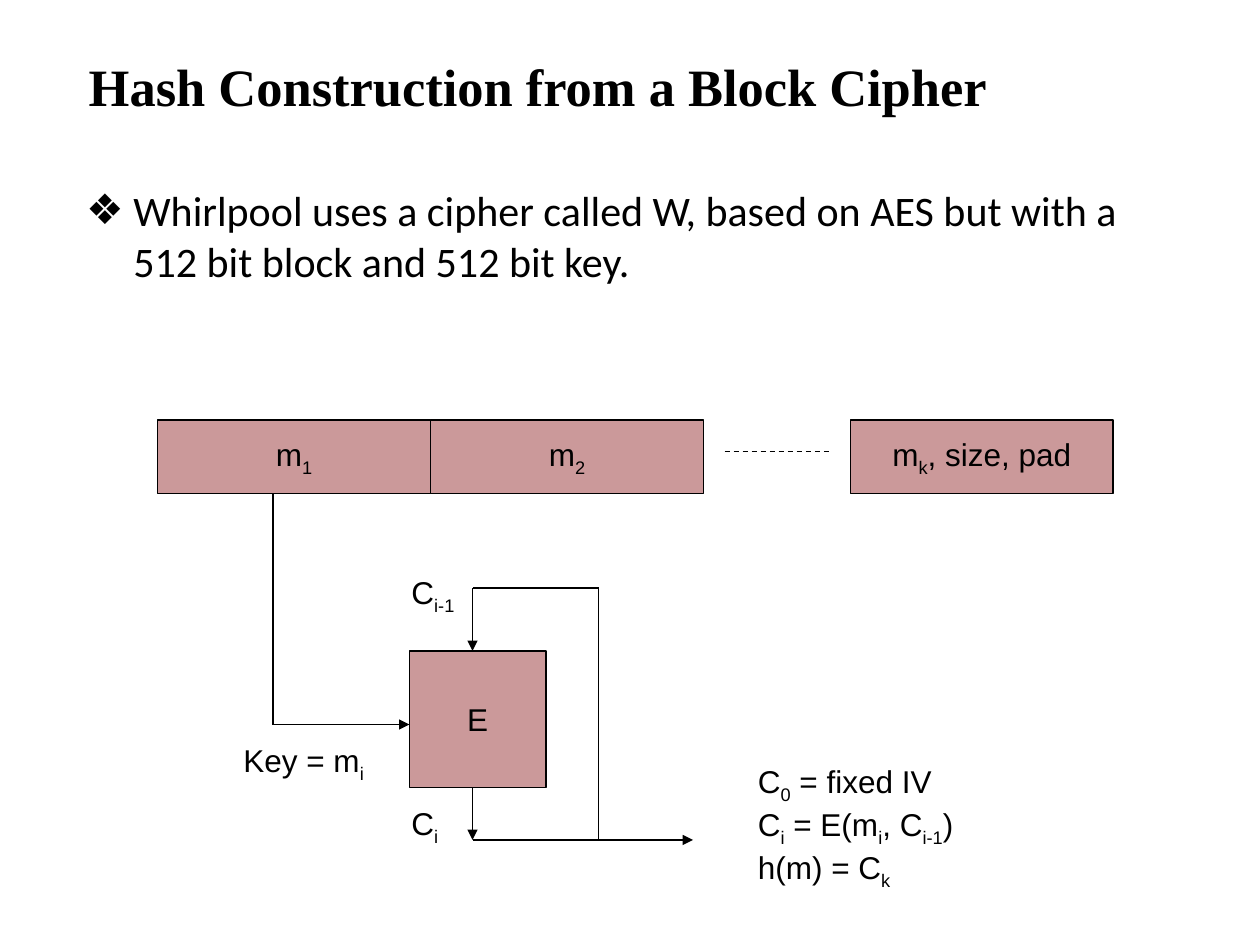
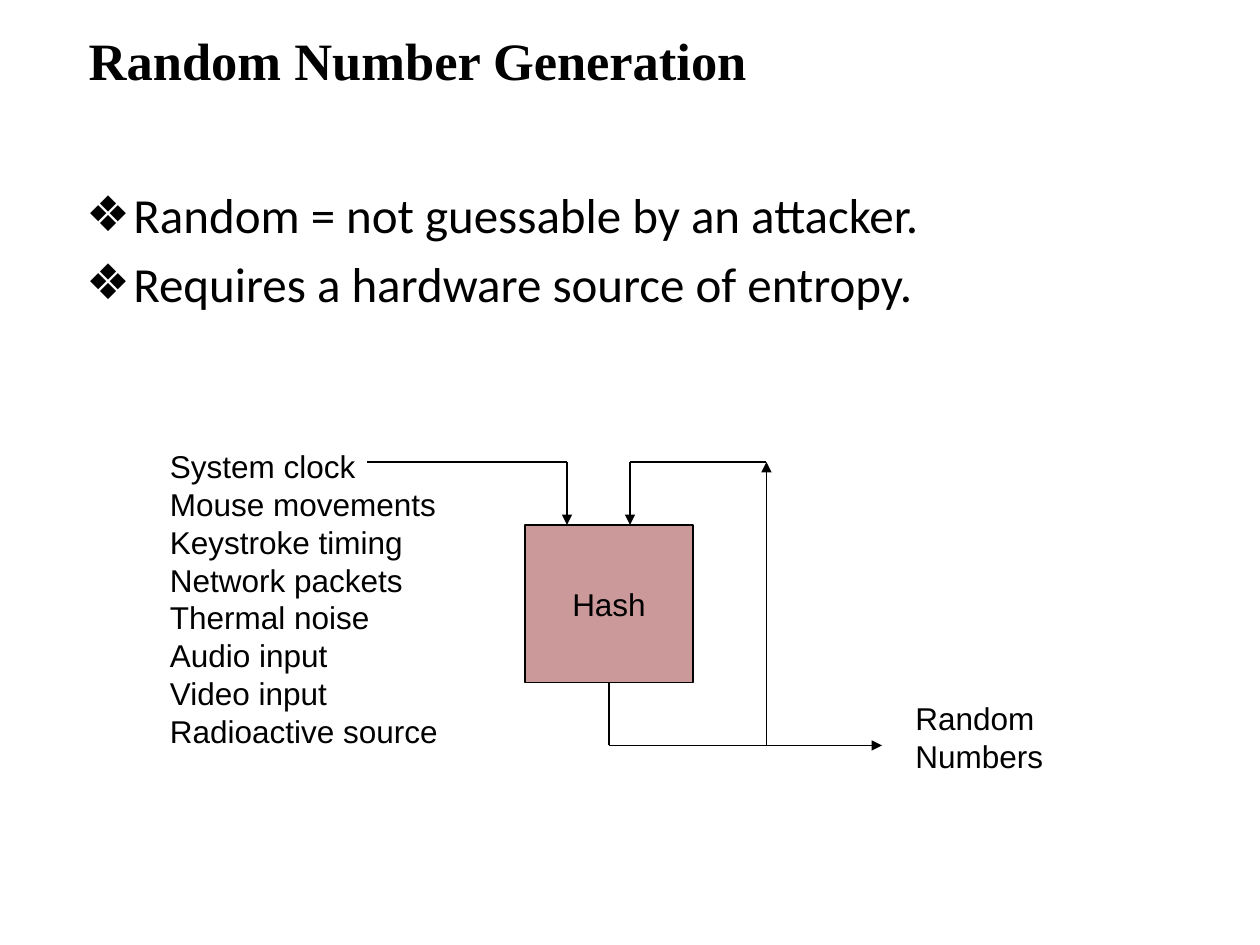
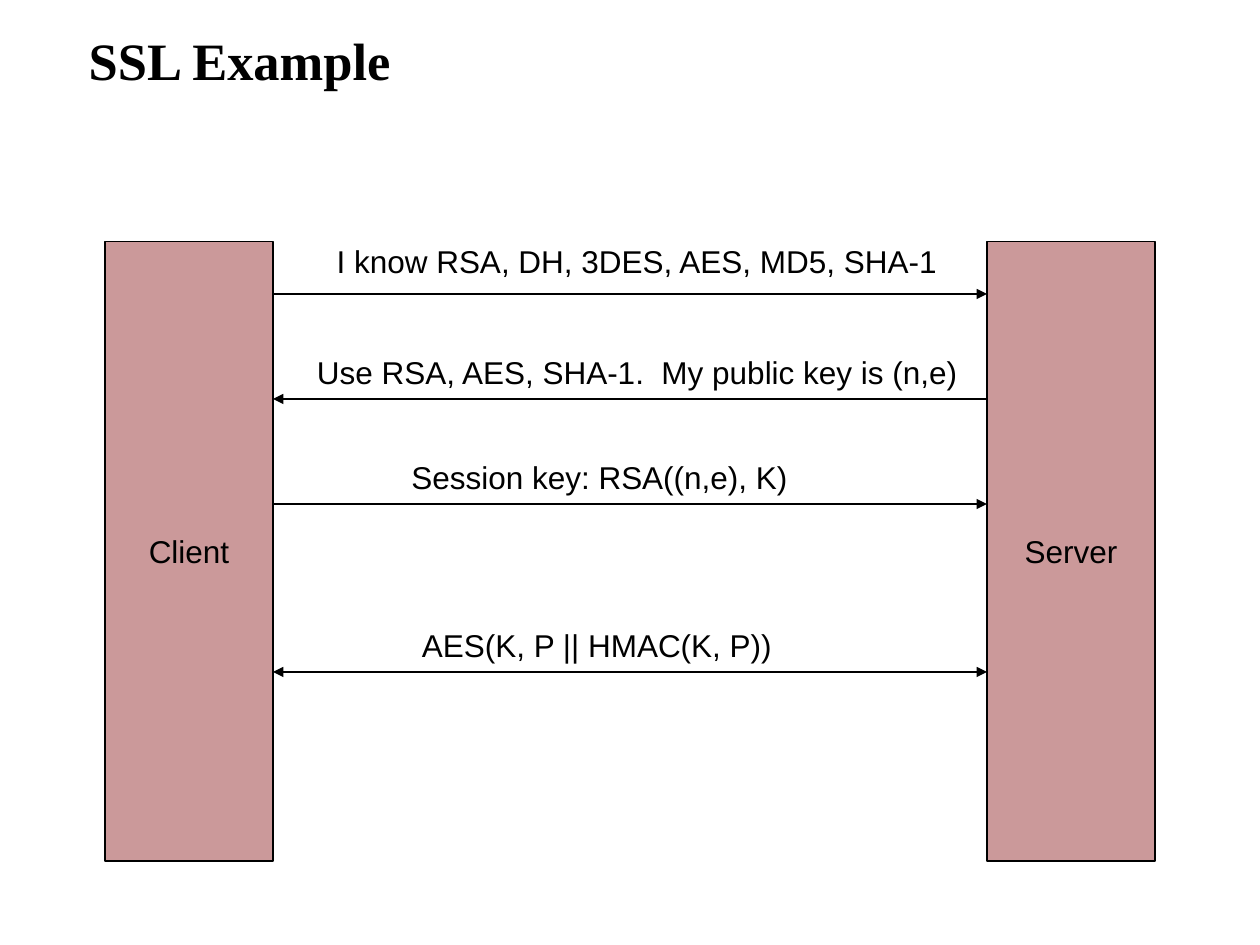
from dataclasses import dataclass
from itertools import pairwise

from lxml import etree
from pptx import Presentation
from pptx.dml.color import RGBColor
from pptx.enum.dml import MSO_LINE
from pptx.enum.shapes import MSO_CONNECTOR, MSO_SHAPE
from pptx.enum.text import MSO_ANCHOR, MSO_AUTO_SIZE, PP_ALIGN
from pptx.oxml.ns import qn
from pptx.util import Pt

RECTANGLE = MSO_SHAPE.RECTANGLE
STRAIGHT = MSO_CONNECTOR.STRAIGHT
DASH = MSO_LINE.DASH
TOP, MIDDLE = MSO_ANCHOR.TOP, MSO_ANCHOR.MIDDLE
LEFT, CENTER = PP_ALIGN.LEFT, PP_ALIGN.CENTER
FIXED, GROW = MSO_AUTO_SIZE.NONE, MSO_AUTO_SIZE.SHAPE_TO_FIT_TEXT
TITLE_AND_BODY, TITLE_ONLY = 1, 5
PX = 9525


@dataclass(frozen=True)
class Theme:
    ink: RGBColor = RGBColor(0x00, 0x00, 0x00)
    block: RGBColor = RGBColor(0xCB, 0x99, 0x9A)
    paper: RGBColor = RGBColor(0xFF, 0xFF, 0xFF)
    title_font: str = "Times New Roman"
    body_font: str = "Calibri"
    label_font: str = "Arial"
    title_size: int = 30
    label_size: int = 18
    line_width: float = 0.75
    bullet: str = "❖"
    indent: int = 36


theme = Theme()


def write(box, text, *, font=theme.label_font, size=theme.label_size, bold=False,
          align=LEFT, anchor=TOP, wrap=False, fit=FIXED, bullet=None):
    """Lines are split at newlines; text between tildes is set as subscript."""
    frame = box.text_frame
    frame.word_wrap = wrap
    frame.auto_size = fit
    frame.vertical_anchor = anchor
    for number, line in enumerate(text.split("\n")):
        para = frame.add_paragraph() if number else frame.paragraphs[0]
        para.alignment = align
        if bullet:
            properties = para._p.get_or_add_pPr()
            properties.set("marL", str(theme.indent * PX))
            properties.set("indent", str(-theme.indent * PX))
            etree.SubElement(properties, qn("a:buChar")).set("char", bullet)
        for position, piece in enumerate(line.split("~")):
            if not piece:
                continue
            span = para.add_run()
            span.text = piece
            span.font.name = font
            span.font.size = Pt(size)
            span.font.bold = bold
            span.font.color.rgb = theme.ink
            if position % 2:
                span._r.get_or_add_rPr().set("baseline", "-25000")


def draw_route(page, points, sides, head=False, tail=True, dash=None):
    legs = list(pairwise(points))
    for number, (start, end) in enumerate(legs):
        line = page.shapes.add_connector(STRAIGHT, *(value * PX for value in start + end))
        if start in sides:
            line.begin_connect(*sides[start])
        if end in sides:
            line.end_connect(*sides[end])
        line.line.color.rgb = theme.ink
        line.line.width = Pt(theme.line_width)
        if dash:
            line.line.dash_style = dash
        outline = line.line._get_or_add_ln()
        if head and number == 0:
            etree.SubElement(outline, qn("a:headEnd")).set("type", "triangle")
        if tail and number == len(legs) - 1:
            etree.SubElement(outline, qn("a:tailEnd")).set("type", "triangle")
        etree.SubElement(line._element.spPr, qn("a:effectLst"))


client_edge, server_edge = 208, 752

slides = [
    dict(
        title="Hash Construction from a Block Cipher",
        title_height=90,
        bullets="Whirlpool uses a cipher called W, based on AES but with a "
                "512 bit block and 512 bit key.",
        bullet_size=24,
        blocks=[
            ("m~1~", 120, 320, 208, 56),
            ("m~2~", 328, 320, 208, 56),
            ("m~k~, size, pad", 648, 320, 200, 56),
            ("E", 312, 496, 104, 104),
        ],
        routes=[
            dict(points=[(552, 344), (632, 344)], tail=False, dash=DASH),
            dict(points=[(208, 376), (208, 552), (312, 552)]),
            dict(points=[(360, 600), (360, 640)]),
            dict(points=[(360, 640), (456, 640), (456, 448), (360, 448), (360, 496)]),
            dict(points=[(456, 640), (528, 640)]),
        ],
        labels=[
            ("Key = m~i~", 176, 560, 111, 38),
            ("C~i-1~", 304, 432, 55, 38),
            ("C~i~", 304, 608, 46, 38),
            ("C~0~ = fixed IV\nC~i~ = E(m~i~, C~i-1~)\nh(m) = C~k~", 568, 576, 171, 96),
        ],
    ),
    dict(
        title="Random Number Generation",
        title_height=51,
        bullets="Random = not guessable by an attacker.\n"
                "Requires a hardware source of entropy.",
        bullet_size=28,
        blocks=[("Hash", 400, 400, 128, 120)],
        routes=[
            dict(points=[(464, 520), (464, 568), (672, 568)]),
            dict(points=[(584, 568), (584, 352)]),
            dict(points=[(584, 352), (480, 352), (480, 400)]),
            dict(points=[(280, 352), (432, 352), (432, 400)]),
        ],
        labels=[
            ("Random\nNumbers", 688, 528, 117, 67),
            ("System clock\nMouse movements\nKeystroke timing\nNetwork packets\n"
             "Thermal noise\nAudio input\nVideo input\nRadioactive source",
             120, 336, 224, 240),
        ],
    ),
    dict(
        title="SSL Example",
        title_height=51,
        bullets=None,
        blocks=[
            ("Client", 80, 184, 128, 472),
            ("Server", server_edge, 184, 128, 472),
        ],
        routes=[
            dict(points=[(client_edge, 224), (server_edge, 224)]),
            dict(points=[(server_edge, 304), (client_edge, 304)]),
            dict(points=[(client_edge, 384), (server_edge, 384)]),
            dict(points=[(client_edge, 512), (server_edge, 512)], head=True),
        ],
        labels=[
            ("I know RSA, DH, 3DES, AES, MD5, SHA-1", 247, 180, 478, 38),
            ("Use RSA, AES, SHA-1.  My public key is (n,e)", 232, 264, 509, 38),
            ("Session key: RSA((n,e), K)", 304, 344, 306, 38),
            ("AES(K, P || HMAC(K, P))", 312, 472, 286, 38),
        ],
    ),
]

deck = Presentation()
deck.slide_width, deck.slide_height = 960 * PX, 720 * PX
background = deck.slide_master.background.fill
background.solid()
background.fore_color.rgb = theme.paper

for content in slides:
    layout = TITLE_AND_BODY if content["bullets"] else TITLE_ONLY
    page = deck.slides.add_slide(deck.slide_layouts[layout])

    title = page.shapes.title
    title.left, title.top = 58 * PX, 20 * PX
    title.width, title.height = 744 * PX, content["title_height"] * PX
    write(title, content["title"], font=theme.title_font, size=theme.title_size,
          bold=True, anchor=MIDDLE, wrap=True)

    if content["bullets"]:
        body = page.placeholders[1]
        body.left, body.top = 56 * PX, 136 * PX
        body.width, body.height = 860 * PX, 536 * PX
        write(body, content["bullets"], font=theme.body_font,
              size=content["bullet_size"], wrap=True, bullet=theme.bullet)

    sides = {}
    for text, left, top, width, height in content["blocks"]:
        block = page.shapes.add_shape(RECTANGLE, left * PX, top * PX, width * PX, height * PX)
        block.shadow.inherit = False
        block.fill.solid()
        block.fill.fore_color.rgb = theme.block
        block.line.color.rgb = theme.ink
        block.line.width = Pt(theme.line_width)
        write(block, text, align=CENTER, anchor=MIDDLE)
        center, middle = left + width // 2, top + height // 2
        corners = [(center, top), (left, middle), (center, top + height), (left + width, middle)]
        sides.update({point: (block, site) for site, point in enumerate(corners)})

    for route in content["routes"]:
        draw_route(page, sides=sides, **route)

    for text, left, top, width, height in content["labels"]:
        label = page.shapes.add_textbox(left * PX, top * PX, width * PX, height * PX)
        write(label, text, fit=GROW)

deck.save("out.pptx")
